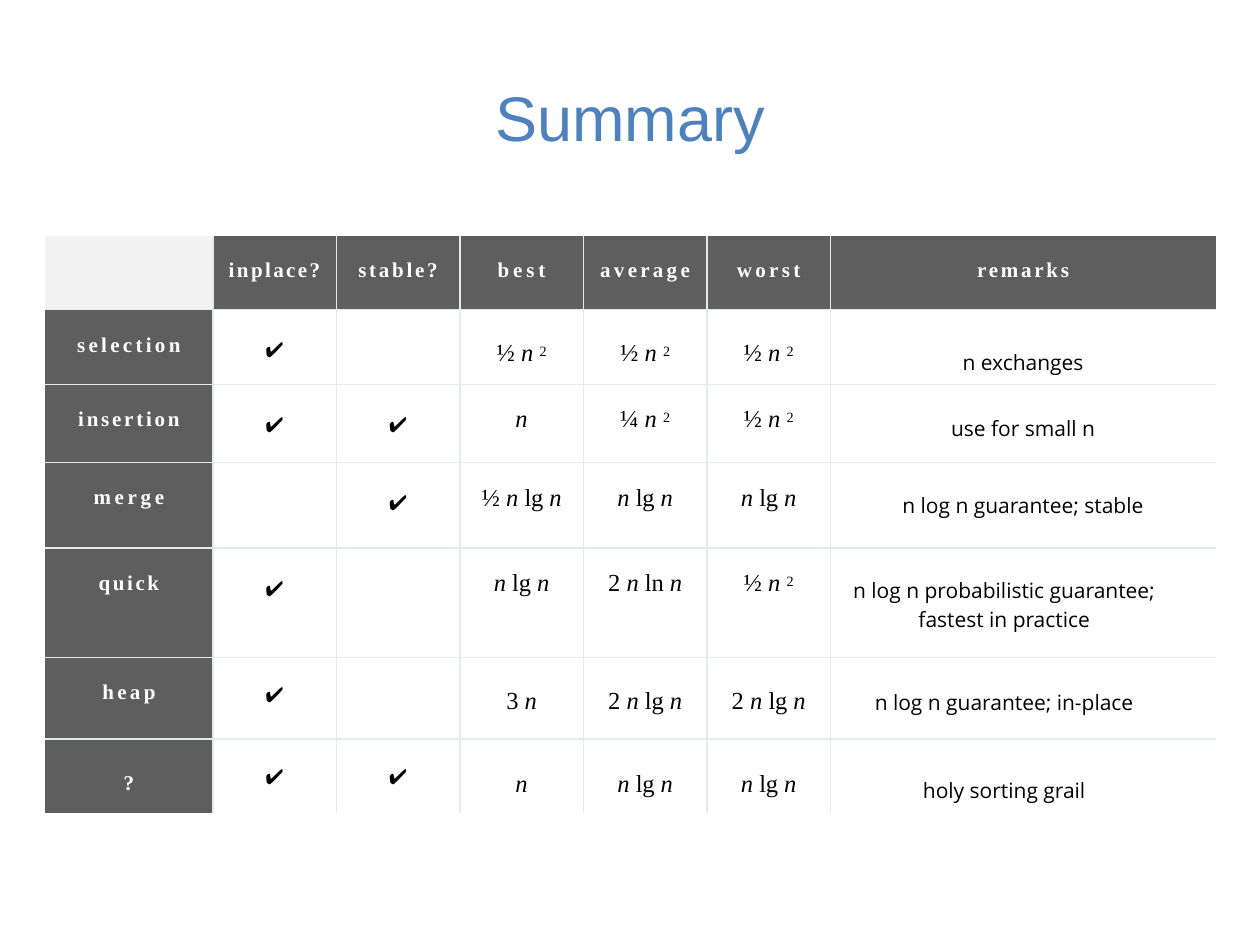
from lxml.etree import SubElement
from pptx import Presentation
from pptx.dml.color import RGBColor
from pptx.enum.text import MSO_ANCHOR, PP_ALIGN
from pptx.oxml import parse_xml
from pptx.oxml.ns import nsdecls, qn
from pptx.util import Cm, Pt

TITLE = "Summary"
# Heading and its letter spacing in points
HEADINGS = [("", 0), ("inplace?", 1.4), ("stable?", 1.6), ("best", 2.2),
            ("average", 1.9), ("worst", 1.9), ("remarks", 1.6)]
# In formulas, n is a variable and ^ marks a power
ALGORITHMS = [
    (("selection", 1.9), "✔", "", "½ n ^2", "½ n ^2", "½ n ^2", "n exchanges"),
    (("insertion", 1.6), "✔", "✔", "n", "¼ n ^2", "½ n ^2", "use for small n"),
    (("merge", 2.1), "", "✔", "½ n lg n", "n lg n", "n lg n",
     "n log n guarantee; stable"),
    (("quick", 1.5), "✔", "", "n lg n", "2 n ln n", "½ n ^2",
     "n log n probabilistic guarantee; fastest in practice"),
    (("heap", 1.9), "✔", "", "3 n", "2 n lg n", "2 n lg n",
     "n log n guarantee; in-place"),
    (("?", 1.9), "✔", "✔", "n", "n lg n", "n lg n", "holy sorting grail"),
]

TABLE_LEFT, TABLE_TOP = 0.91, 4.75
COLUMN_WIDTHS = [3.38] + [2.49] * 5 + [7.77]
ROW_HEIGHTS = [1.49, 1.51, 1.57, 1.73, 2.2, 1.65, 1.49]
HEADING_TOP = 0.46
# Top margins of each algorithm row: name, check, formula, remark
TOP_MARGINS = [(0.48, 0.48, 0.61, 0.61), (0.48, 0.48, 0.43, 0.2),
               (0.48, 0.48, 0.46, 0), (0.48, 0.48, 0.43, 0.08),
               (0.48, 0.43, 0.61, 0.15), (0.66, 0.43, 0.64, 0.58)]
REMARK_RIGHT_MARGINS = [0, 0, 0, 0.76, 0.76, 0.76]

THEME = {
    "title_color": "4F81BD", "corner": "F2F2F2", "header": "5E5E5E",
    "body": "FFFFFF", "border": "E7EAEB",
    "title": {"name": "Arial", "size": Pt(36)},
    "label": {"name": "Times New Roman", "size": Pt(12), "bold": True},
    "check": {"name": "Noto Sans CJK JP", "size": Pt(12)},
    "formula": {"name": "Times New Roman", "size": Pt(14)},
    "remark": {"name": "Open Sans", "size": Pt(12)},
}


def set_attributes(target, values):
    for name, value in values.items():
        setattr(target, name, value)


def add_run(paragraph, text, style, color="000000", spacing=0, baseline=0,
            italic=False):
    run = paragraph.add_run()
    run.text = text
    set_attributes(run.font, {**THEME[style], "italic": italic})
    run.font.color.rgb = RGBColor.from_string(color)
    properties = run.font._element if hasattr(run.font, "_element") else run._r.get_or_add_rPr()
    if spacing:
        properties.set("spc", str(round(spacing * 100)))
    if baseline:
        properties.set("baseline", str(baseline * 1000))
    if style == "check":
        SubElement(properties, qn("a:ea"), typeface=THEME[style]["name"])


def add_formula(paragraph, formula):
    tokens = formula.split()
    for index, token in enumerate(tokens):
        space = " " if index < len(tokens) - 1 else ""
        if token.startswith("^"):
            add_run(paragraph, token[1:] + space, "formula", spacing=0.2, baseline=19)
        else:
            spacing = -0.1 if token in ("lg", "ln") else 0
            add_run(paragraph, token + space, "formula", spacing=spacing,
                    italic=token == "n")


def add_inner_borders(cell, row, column):
    """Draw rules only on the edges shared with another cell."""
    shared = {"lnL": column > 0, "lnR": column < len(COLUMN_WIDTHS) - 1,
              "lnT": row > 0, "lnB": row < len(ROW_HEIGHTS) - 1}
    properties = cell._tc.get_or_add_tcPr()
    for index, (edge, visible) in enumerate(shared.items()):
        paint = (f'<a:solidFill><a:srgbClr val="{THEME["border"]}"/></a:solidFill>'
                 if visible else "<a:noFill/>")
        properties.insert(index, parse_xml(
            f'<a:{edge} {nsdecls("a")} w="12700">{paint}</a:{edge}>'))


def format_cell(cell, row, column, fill, top=0, right=0, anchor=MSO_ANCHOR.TOP):
    """Style the cell and return its centred paragraph."""
    set_attributes(cell, {
        "margin_left": 0, "margin_right": Cm(right), "margin_top": Cm(top),
        "margin_bottom": 0, "vertical_anchor": anchor})
    cell.fill.solid()
    cell.fill.fore_color.rgb = RGBColor.from_string(THEME[fill])
    add_inner_borders(cell, row, column)
    paragraph = cell.text_frame.paragraphs[0]
    paragraph.alignment = PP_ALIGN.CENTER
    return paragraph


def add_title(slide):
    title = slide.shapes.title
    set_attributes(title, {"left": Cm(1.27), "top": Cm(0.76),
                           "width": Cm(22.86), "height": Cm(3.18)})
    title.text_frame.vertical_anchor = MSO_ANCHOR.MIDDLE
    paragraph = title.text_frame.paragraphs[0]
    paragraph.alignment = PP_ALIGN.CENTER
    add_run(paragraph, TITLE, "title", THEME["title_color"])


def fill_algorithm_row(table, row, algorithm):
    name_top, check_top, formula_top, remark_top = TOP_MARGINS[row - 1]
    (name, spacing), *values, remark = algorithm
    paragraph = format_cell(table.cell(row, 0), row, 0, "header", name_top)
    add_run(paragraph, name, "label", THEME["body"], spacing)
    for column, value in enumerate(values, start=1):
        is_check = column <= 2
        paragraph = format_cell(table.cell(row, column), row, column, "body",
                                check_top if is_check else formula_top)
        if not is_check:
            add_formula(paragraph, value)
        elif value:
            add_run(paragraph, value, "check")
    column = len(COLUMN_WIDTHS) - 1
    paragraph = format_cell(table.cell(row, column), row, column, "body", remark_top,
                            REMARK_RIGHT_MARGINS[row - 1], MSO_ANCHOR.MIDDLE)
    add_run(paragraph, remark, "remark")


def add_summary_table(slide):
    table = slide.shapes.add_table(
        len(ROW_HEIGHTS), len(COLUMN_WIDTHS), Cm(TABLE_LEFT), Cm(TABLE_TOP),
        Cm(sum(COLUMN_WIDTHS)), Cm(sum(ROW_HEIGHTS))).table
    set_attributes(table, {"first_row": False, "horz_banding": False})
    for column, width in zip(table.columns, COLUMN_WIDTHS):
        column.width = Cm(width)
    for row, height in zip(table.rows, ROW_HEIGHTS):
        row.height = Cm(height)
    for column, (heading, spacing) in enumerate(HEADINGS):
        fill = "header" if heading else "corner"
        paragraph = format_cell(table.cell(0, column), 0, column, fill, HEADING_TOP)
        if heading:
            add_run(paragraph, heading, "label", THEME["body"], spacing)
    for row, algorithm in enumerate(ALGORITHMS, start=1):
        fill_algorithm_row(table, row, algorithm)


def main():
    presentation = Presentation()
    set_attributes(presentation, {"slide_width": Cm(25.4), "slide_height": Cm(19.05)})
    slide = presentation.slides.add_slide(presentation.slide_layouts[5])
    add_title(slide)
    add_summary_table(slide)
    presentation.save("out.pptx")


if __name__ == "__main__":
    main()
